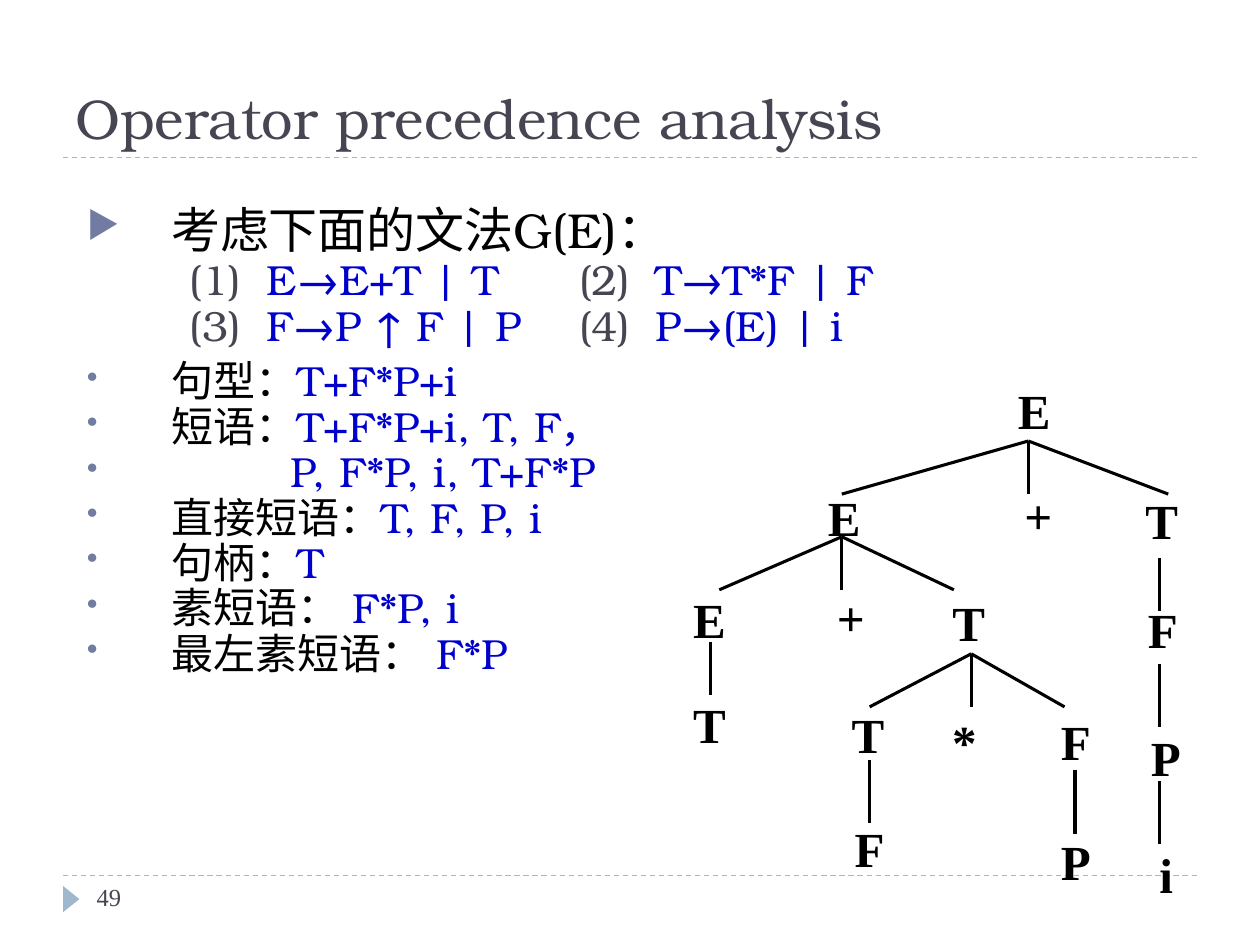
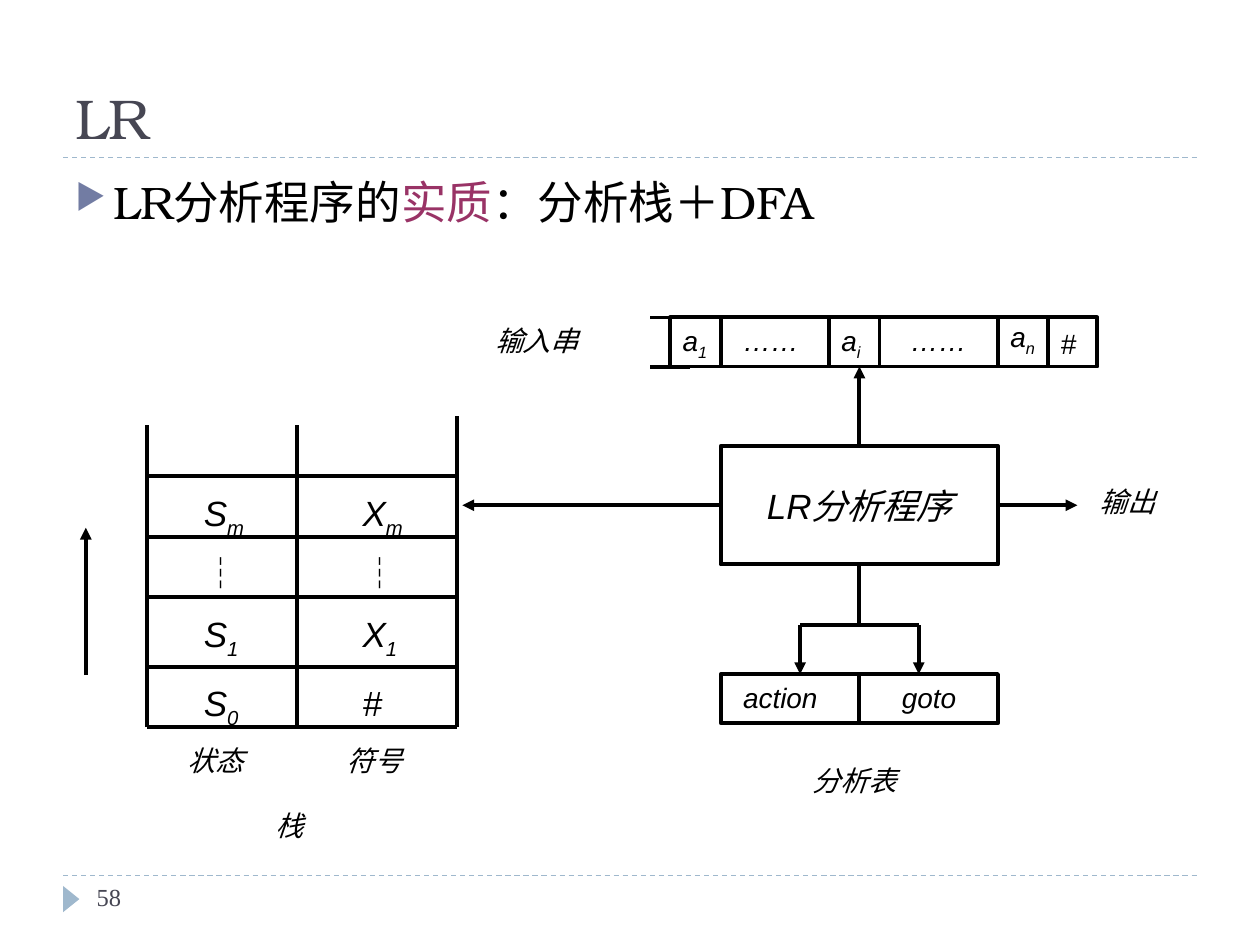
from dataclasses import dataclass

from lxml.etree import SubElement
from pptx import Presentation
from pptx.dml.color import RGBColor
from pptx.enum.dml import MSO_LINE
from pptx.enum.shapes import MSO_CONNECTOR, MSO_SHAPE
from pptx.enum.text import MSO_ANCHOR, PP_ALIGN
from pptx.oxml.ns import qn
from pptx.util import Cm, Pt


@dataclass(frozen=True)
class Theme:
    ink: str = "000000"
    title: str = "464653"
    rule: str = "9FB8CD"
    bullet: str = "727CA3"
    formula: str = "0000CC"
    accent: str = "993366"
    serif: str = "TeX Gyre Bonum"
    times: str = "Times New Roman"
    sans: str = "Arial"
    cjk: str = "Noto Sans CJK SC"
    title_size: int = 32
    lead_size: int = 28
    essence_size: int = 26
    body_size: int = 24
    node_size: int = 28
    cell_size: int = 20
    label_size: int = 16
    number_size: int = 14
    rule_width: float = 0.75
    branch_width: float = 1.75
    diagram_width: float = 2.25


T = Theme()
BLUE = {"color": T.formula}
GRAY = {"color": T.title}
SUB = {"baseline": -25000}
GRAMMAR_TABS = (2.08, 3.63, 9.93, 11.46)

# Operator precedence slide: grammar and phrases
GRAMMAR = [
    [("\t(1)", GRAY), ("\tE→E+T | T", BLUE), ("\t(2)", GRAY), ("\tT→T*F | F", BLUE)],
    [("\t(3)", GRAY), ("\tF→P ↑ F | P", BLUE), ("\t(4)", GRAY), ("\tP→(E) | i", BLUE)],
]
PHRASES = [  # term, phrases, text indent
    ("句型：", "T+F*P+i", 1.7),
    ("短语：", "T+F*P+i, T, F，", 1.7),
    ("", "P, F*P, i, T+F*P", 4.11),
    ("直接短语：", "T, F, P, i", 1.7),
    ("句柄：", "T", 1.7),
    ("素短语： ", "F*P, i", 1.7),
    ("最左素短语： ", "F*P", 1.7),
]
TREE_NODES = [  # symbol, centre, top
    ("E", 20.85, 7.67),
    ("E", 17.02, 9.83), ("+", 20.93, 9.78), ("T", 23.42, 9.88),
    ("E", 14.3, 11.89), ("+", 17.15, 11.84), ("T", 19.53, 11.94), ("F", 23.44, 12.09),
    ("T", 14.3, 14), ("T", 17.5, 14.2), ("*", 19.44, 14.35), ("F", 21.69, 14.35),
    ("P", 23.5, 14.66),
    ("F", 17.53, 16.51), ("P", 21.69, 16.76), ("i", 23.51, 17.02),
]
TREE_BRANCHES = [  # parent x, parent y, child y, child xs
    (20.73, 8.89, 9.96, (16.97, 20.73, 23.55)),
    (16.97, 10.82, 11.89, (14.5, 16.97, 19.23)),
    (19.58, 13.18, 14.25, (17.53, 19.58, 21.46)),
    (14.33, 12.95, 14.02, (14.33,)),
    (17.53, 15.32, 16.59, (17.53,)),
    (21.67, 15.52, 16.81, (21.67,)),
    (23.37, 11.25, 12.32, (23.37,)),
    (23.37, 13.39, 14.66, (23.37,)),
    (23.37, 15.75, 17.02, (23.37,)),
]

# LR slide: stack, input tape, parser, parsing table
STACK_SIDES = [(2.97, 8.56), (5.99, 8.56), (9.22, 8.38)]  # x, top
STACK_LEVELS = [9.6, 10.82, 12.04, 13.44, 14.66]
STACK_COLUMNS = [  # text left, heading, cells from the top
    (3.86, "状态", [("S", "m"), "┆", ("S", "1"), ("S", "0")]),
    (7.06, "符号", [("X", "m"), "┆", ("X", "1"), ("#", "")]),
]
TAPE_EDGES = [13.51, 14.53, 16.71, 17.73, 20.12, 21.13, 22.12]
TAPE_TOP, TAPE_BOTTOM = 6.4, 7.39
TAPE_CELLS = [  # symbol, subscript, left, top
    ("a", "1", 13.51, 6.4), ("……", "", 14.73, 6.4), ("a", "i", 16.71, 6.4),
    ("……", "", 18.11, 6.4), ("a", "n", 20.12, 6.32), ("#", "", 21.13, 6.45),
]
PARSER = (14.53, 8.99, 5.59, 2.39)
PARSING_TABLE = (14.53, 13.59, 5.59, 0.99)
FORK_Y, FORK_XS = 12.6, (16.13, 18.52)
LABELS = [
    ("分析表", 16.13, 15.27), ("action", 14.73, 13.59), ("goto", 17.93, 13.59),
    ("输出", 21.92, 9.65), ("输入串", 9.73, 6.4), ("栈", 5.31, 16.18),
]


def rgb(color):
    return RGBColor.from_string(color)


def add_run(paragraph, text, size, font, color, bold=False, italic=False, baseline=0):
    run = paragraph.add_run()
    run.text = text
    run.font.size = Pt(size)
    run.font.name = font
    run.font.color.rgb = rgb(color)
    run.font.bold = bold
    run.font.italic = italic
    properties = run._r.get_or_add_rPr()
    SubElement(properties, qn("a:ea")).set("typeface", font)
    if baseline:
        properties.set("baseline", str(baseline))


def add_bullet(paragraph, bullet, indent):
    properties = paragraph._p.get_or_add_pPr()
    properties.set("marL", str(Cm(indent)))
    properties.set("indent", str(-Cm(indent)))
    color = SubElement(properties, qn("a:buClr"))
    SubElement(color, qn("a:srgbClr")).set("val", T.bullet)
    SubElement(properties, qn("a:buSzPct")).set("val", "76000")
    SubElement(properties, qn("a:buChar")).set("char", bullet)


def add_tabs(paragraph, stops):
    tabs = SubElement(paragraph._p.get_or_add_pPr(), qn("a:tabLst"))
    for stop in stops:
        tab = SubElement(tabs, qn("a:tab"))
        tab.set("pos", str(Cm(stop)))
        tab.set("algn", "l")


def write(paragraph, content, *, align=PP_ALIGN.LEFT, bullet=None, indent=0, tabs=(),
          spacing=None, before=0, **font):
    """Write a string, or a list of (text, font overrides), into a paragraph."""
    if bullet:
        add_bullet(paragraph, bullet, indent)
    if tabs:
        add_tabs(paragraph, tabs)
    paragraph.alignment = align
    paragraph.space_before = Pt(before)
    if spacing:
        paragraph.line_spacing = spacing
    for text, overrides in [(content, {})] if isinstance(content, str) else content:
        if text:
            add_run(paragraph, text, **{**font, **overrides})


def add_text(slide, content, box, *, anchor=MSO_ANCHOR.TOP, inset=True, **form):
    frame = slide.shapes.add_textbox(*map(Cm, box)).text_frame
    frame.word_wrap = True
    frame.vertical_anchor = anchor
    if not inset:
        frame.margin_left = frame.margin_right = frame.margin_top = frame.margin_bottom = 0
    write(frame.paragraphs[0], content, **form)
    return frame


def add_line(slide, start, end, *, width=T.diagram_width, color=T.ink, dash=False,
             arrow=False, begin=None, finish=None):
    """Draw a line; begin and finish are (shape, side) pairs to join."""
    line = slide.shapes.add_connector(MSO_CONNECTOR.STRAIGHT, *map(Cm, (*start, *end)))
    line.line.width = Pt(width)
    line.line.color.rgb = rgb(color)
    if dash:
        line.line.dash_style = MSO_LINE.DASH
    if arrow:
        SubElement(line.line._get_or_add_ln(), qn("a:tailEnd")).set("type", "triangle")
    SubElement(line._element.spPr, qn("a:effectLst"))
    if begin:
        line.begin_connect(*begin)
    if finish:
        line.end_connect(*finish)


def add_frame(slide, box):
    """Add an unfilled rectangle with a diagram outline."""
    frame = slide.shapes.add_shape(MSO_SHAPE.RECTANGLE, *map(Cm, box))
    frame.shadow.inherit = False
    frame.fill.background()
    frame.line.color.rgb = rgb(T.ink)
    frame.line.width = Pt(T.diagram_width)
    return frame


def add_base(deck, title, number):
    slide = deck.slides.add_slide(deck.slide_layouts[6])
    for y in (17.65, 3.18):
        add_line(slide, (1.27, y), (24.13, y), width=T.rule_width, color=T.rule, dash=True)
    marker = slide.shapes.add_shape(
        MSO_SHAPE.ISOSCELES_TRIANGLE, Cm(1.17), Cm(17.96), Cm(0.53), Cm(0.33))
    marker.rotation = 90
    marker.shadow.inherit = False
    marker.fill.solid()
    marker.fill.fore_color.rgb = rgb(T.rule)
    marker.line.fill.background()
    add_text(slide, title, (1.27, 0.43, 22.86, 2.74), anchor=MSO_ANCHOR.BOTTOM,
             size=T.title_size, font=T.serif, color=T.title)
    add_text(slide, number, (1.7, 17.65, 5.51, 1.02),
             size=T.number_size, font=T.times, color=T.title)
    return slide


def build_precedence(deck):
    slide = add_base(deck, "Operator precedence analysis", "49")
    body = {"font": T.serif, "color": T.ink, "spacing": 0.9}
    frame = add_text(slide, "考虑下面的文法G(E)：", (1.5, 4.04, 22.66, 12.5),
                     size=T.lead_size, bullet="▶", indent=1.7, **body)
    for rules in GRAMMAR:
        write(frame.add_paragraph(), rules, size=T.body_size, tabs=GRAMMAR_TABS, **body)
    for index, (term, phrases, indent) in enumerate(PHRASES):
        write(frame.add_paragraph(), [(term, {}), (phrases, BLUE)], size=T.body_size,
              bullet="•", indent=indent, before=0 if index else 6, **body)

    for symbol, centre, top in TREE_NODES:
        add_text(slide, symbol, (centre - 0.5, top, 1, 1.19), inset=False,
                 align=PP_ALIGN.CENTER, size=T.node_size, font=T.times,
                 color=T.ink, bold=True)
    for x, y, child_y, child_xs in TREE_BRANCHES:
        for child_x in child_xs:
            add_line(slide, (x, y), (child_x, child_y), width=T.branch_width)


def add_label(slide, content, left, top, size=T.label_size, font=T.sans, italic=True):
    add_text(slide, content, (left, top, 3, 1), size=size, font=font,
             color=T.ink, italic=italic)


def draw_stack(slide):
    left, right, bottom = STACK_SIDES[0][0], STACK_SIDES[-1][0], STACK_LEVELS[-1]
    for x, top in STACK_SIDES:
        add_line(slide, (x, bottom), (x, top))
    for y in STACK_LEVELS:
        add_line(slide, (left, y), (right, y))
    add_line(slide, (1.73, 13.61), (1.73, 10.64), arrow=True)
    for x, heading, cells in STACK_COLUMNS:
        add_label(slide, heading, x - 0.33, bottom + 0.2)
        for cell, level in zip(cells, STACK_LEVELS):
            if cell == "┆":
                add_label(slide, cell, x, level + 0.18, T.cell_size, T.cjk, False)
            else:
                symbol, index = cell
                add_label(slide, [(symbol, {}), (index, SUB)], x, level + 0.18, T.cell_size)


def draw_tape(slide):
    left, right = TAPE_EDGES[0], TAPE_EDGES[-1]
    add_frame(slide, (left, TAPE_TOP, right - left, TAPE_BOTTOM - TAPE_TOP))
    for y in (TAPE_TOP, TAPE_BOTTOM):
        add_line(slide, (left - 0.4, y), (left + 0.4, y))
    for x in TAPE_EDGES[1:-1]:
        add_line(slide, (x, TAPE_TOP), (x, TAPE_BOTTOM))
    for symbol, index, x, y in TAPE_CELLS:
        add_label(slide, [(symbol, {}), (index, SUB)], x, y)


def draw_parser(slide):
    parser, table = add_frame(slide, PARSER), add_frame(slide, PARSING_TABLE)
    parser.text_frame.vertical_anchor = MSO_ANCHOR.MIDDLE
    write(parser.text_frame.paragraphs[0], "LR分析程序", align=PP_ALIGN.CENTER,
          size=T.cell_size, font=T.sans, color=T.ink, italic=True)
    left, top, width, height = PARSER
    table_top = PARSING_TABLE[1]
    table_bottom = table_top + PARSING_TABLE[3]
    x, y = left + width / 2, top + height / 2
    add_line(slide, (x, top), (x, TAPE_BOTTOM), arrow=True, begin=(parser, 0))
    add_line(slide, (left, y), (9.32, y), arrow=True, begin=(parser, 1))
    add_line(slide, (left + width, y), (21.72, y), arrow=True, begin=(parser, 3))
    add_line(slide, (x, top + height), (x, FORK_Y), begin=(parser, 2))
    add_line(slide, (FORK_XS[0], FORK_Y), (FORK_XS[1], FORK_Y))
    for fork_x in FORK_XS:
        add_line(slide, (fork_x, FORK_Y), (fork_x, table_top), arrow=True)
    add_line(slide, (x, table_top), (x, table_bottom), begin=(table, 0), finish=(table, 2))


def build_lr(deck):
    slide = add_base(deck, "LR", "58")
    essence = [("LR分析程序的", {}), ("实质", {"color": T.accent}), ("：分析栈＋DFA", {})]
    add_text(slide, essence, (1.27, 3.38, 22.86, 2.13), size=T.essence_size,
             font=T.serif, color=T.ink, bullet="▶", indent=0.76)
    draw_stack(slide)
    draw_tape(slide)
    draw_parser(slide)
    for label in LABELS:
        add_label(slide, *label)


def main():
    deck = Presentation()
    deck.slide_width, deck.slide_height = Cm(25.4), Cm(19.05)
    build_precedence(deck)
    build_lr(deck)
    deck.save("out.pptx")


if __name__ == "__main__":
    main()
